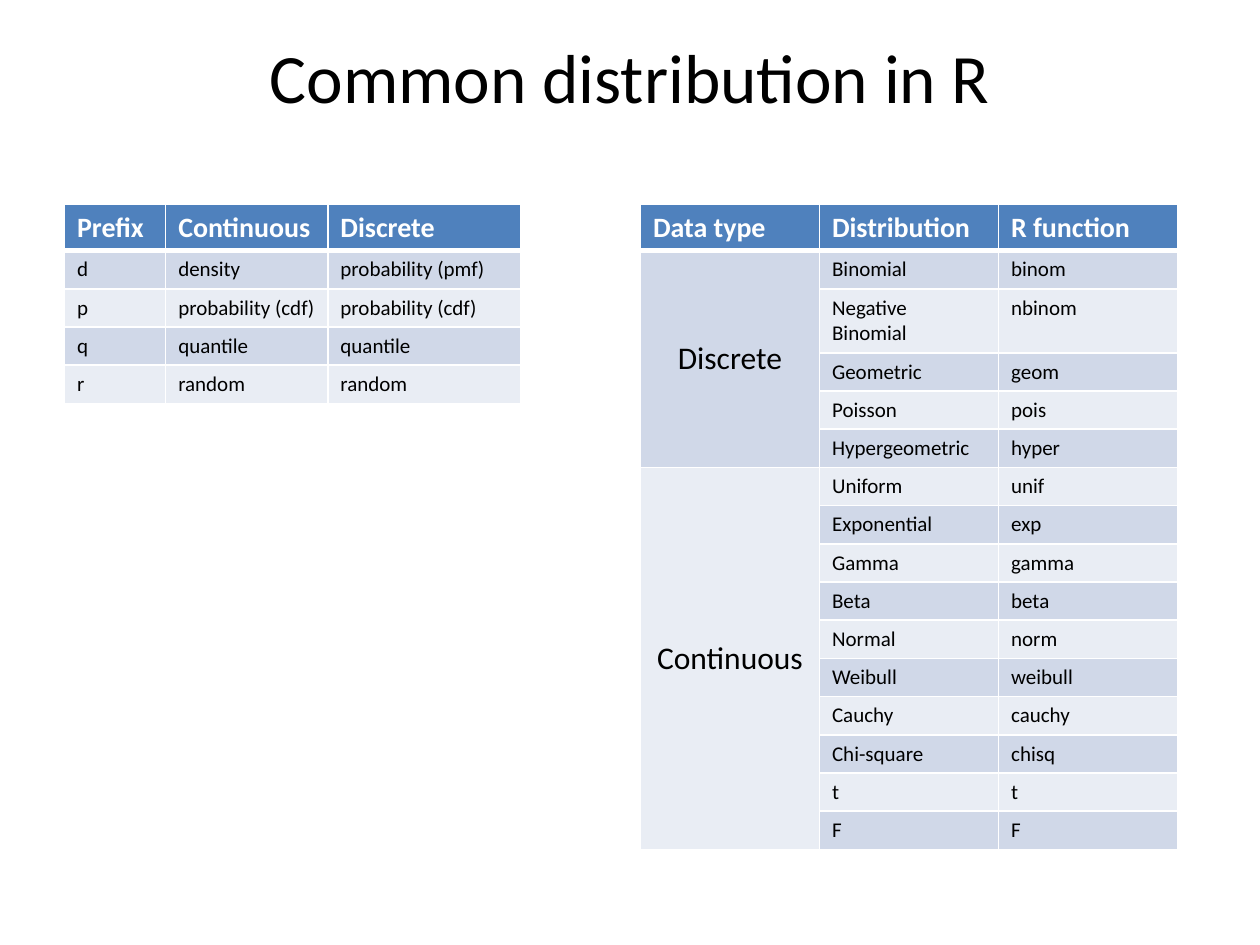
"""Build a slide with two tables on common distributions in R."""
from lxml import etree
from pptx import Presentation
from pptx.dml.color import RGBColor
from pptx.enum.text import MSO_ANCHOR, PP_ALIGN
from pptx.oxml.ns import qn
from pptx.util import Cm, Pt

MID, MIDDLE = PP_ALIGN.CENTER, MSO_ANCHOR.MIDDLE
BLANK = 6
HEAD, DARK, LIGHT = "4F81BD", "D0D8E8", "E9EDF4"
WHITE, BLACK = "FFFFFF", "000000"
TITLE = {"size": Pt(39.6), "bold": False}
TOP = {"size": Pt(16), "bold": True}
BODY = {"size": Pt(12), "bold": False}
GROUP = {"size": Pt(18), "bold": False}
HEAD_HIGH, ROW_HIGH, WRAP_HIGH = 0.93, 0.77, 1.29

PREFIX = [
    ("Prefix", "Continuous", "Discrete"),
    ("d", "density", "probability (pmf)"),
    ("p", "probability (cdf)", "probability (cdf)"),
    ("q", "quantile", "quantile"),
    ("r", "random", "random"),
]
KINDS = {
    "Discrete": [
        ("Binomial", "binom"), ("Negative Binomial", "nbinom"),
        ("Geometric", "geom"), ("Poisson", "pois"),
        ("Hypergeometric", "hyper"),
    ],
    "Continuous": [
        ("Uniform", "unif"), ("Exponential", "exp"), ("Gamma", "gamma"),
        ("Beta", "beta"), ("Normal", "norm"), ("Weibull", "weibull"),
        ("Cauchy", "cauchy"), ("Chi-square", "chisq"), ("t", "t"), ("F", "F"),
    ],
}


def color(code):
    """Turn a hex string into a colour."""
    return RGBColor.from_string(code)


def write(frame, text, look, ink=BLACK):
    """Add one run of text with the given font values."""
    run = frame.paragraphs[0].add_run()
    run.text = text
    for name, value in {"name": "Calibri", **look}.items():
        setattr(run.font, name, value)
    run.font.color.rgb = color(ink)


def add_title(slide, text):
    """Add the centred title."""
    box = slide.shapes.add_textbox(Cm(1.27), Cm(0.76), Cm(22.86), Cm(1.55))
    frame = box.text_frame
    for name, value in {"word_wrap": True, "vertical_anchor": MIDDLE}.items():
        setattr(frame, name, value)
    frame.paragraphs[0].alignment = MID
    write(frame, text, TITLE)


def add_edges(cell, row):
    """Draw white cell borders, thick below the header row."""
    wide = {"lnT": 3 if row == 1 else 1, "lnB": 3 if row == 0 else 1}
    props = cell._tc.get_or_add_tcPr()
    for side in ("lnL", "lnR", "lnT", "lnB"):
        line = etree.SubElement(props, qn(f"a:{side}"), w=str(Pt(wide.get(side, 1))))
        fill = etree.SubElement(line, qn("a:solidFill"))
        etree.SubElement(fill, qn("a:srgbClr"), val=WHITE)


def add_grid(slide, left, top, widths, rows):
    """Add a table with a header row and banded body rows."""
    high = [HEAD_HIGH] + [ROW_HIGH] * (len(rows) - 1)
    shape = slide.shapes.add_table(
        len(rows), len(widths), Cm(left), Cm(top), Cm(sum(widths)), Cm(sum(high)))
    table = shape.table
    for col, width in zip(table.columns, widths):
        col.width = Cm(width)
    for r, texts in enumerate(rows):
        table.rows[r].height = Cm(high[r])
        for c, text in enumerate(texts):
            cell = table.cell(r, c)
            add_edges(cell, r)
            cell.fill.solid()
            band = DARK if r % 2 else LIGHT
            cell.fill.fore_color.rgb = color(band if r else HEAD)
            if text:
                look = BODY if r else TOP
                if text in KINDS and r:
                    look = GROUP
                write(cell.text_frame, text, look, BLACK if r else WHITE)
    return table


def add_kinds(slide):
    """Add the table of distributions, grouped by data type."""
    rows = [("Data type", "Distribution", "R function")]
    for kind, pairs in KINDS.items():
        rows += [("" if i else kind, *pair) for i, pair in enumerate(pairs)]
    table = add_grid(slide, 12.91, 4.12, [3.61] * 3, rows)
    table.rows[2].height = Cm(WRAP_HIGH)
    start = 1
    for pairs in KINDS.values():
        cell = table.cell(start, 0)
        cell.merge(table.cell(start + len(pairs) - 1, 0))
        cell.vertical_anchor = MIDDLE
        cell.text_frame.paragraphs[0].alignment = MID
        start += len(pairs)


def main():
    """Build and save the slide."""
    deck = Presentation()
    deck.slide_width, deck.slide_height = Cm(25.4), Cm(19.05)
    slide = deck.slides.add_slide(deck.slide_layouts[BLANK])
    add_title(slide, "Common distribution in R")
    add_kinds(slide)
    add_grid(slide, 1.3, 4.12, [2.04, 3.27, 3.89], PREFIX)
    deck.save("out.pptx")


if __name__ == "__main__":
    main()
